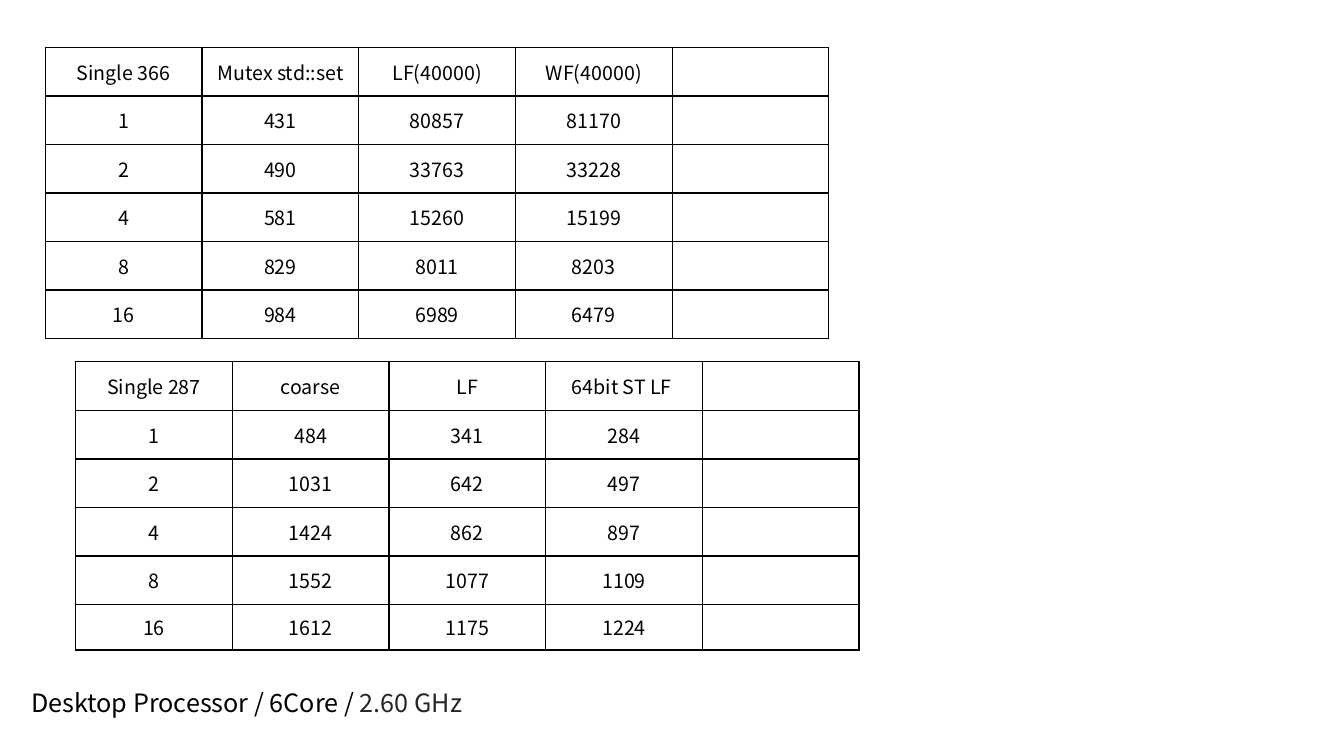
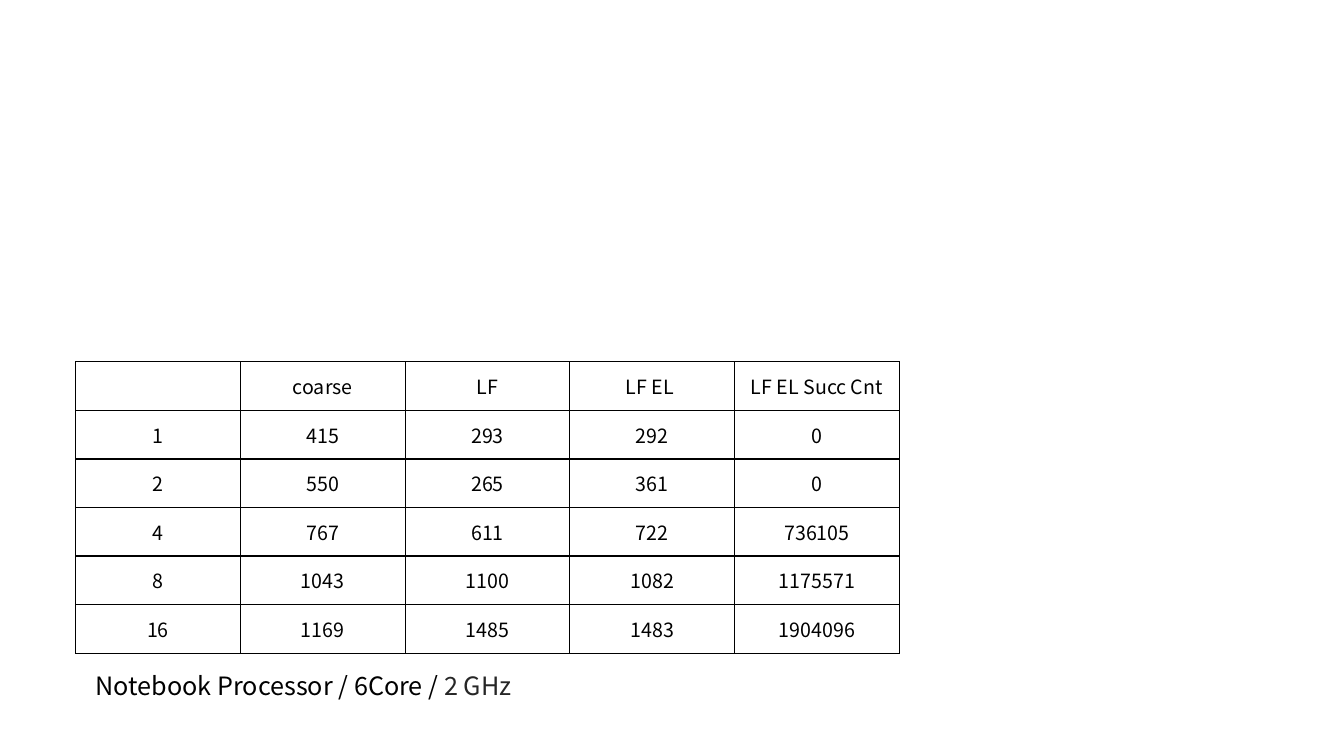
import dataclasses

import lxml.etree
import pptx
import pptx.dml.color
import pptx.enum.text
import pptx.oxml.ns
import pptx.util


@dataclasses.dataclass(frozen=True)
class Theme:
    """Look shared by all slides."""
    font: str = "Noto Sans CJK KR"
    black: str = "000000"
    grey: str = "262626"
    cell_size: int = 14
    caption_size: int = 18
    border_width: int = 1


THEME = Theme()
SLIDE_WIDTH = pptx.util.Inches(13.33)
SLIDE_HEIGHT = pptx.util.Inches(7.5)

# Shares of the slide, in percent
ROW_HEIGHT = 6.42
SHORT_ROW_HEIGHT = 6
LOWER_TABLE = (5.63, 47.87)
CAPTION_SIZE = (46.66, 5.33)

THREADS = ["1", "2", "4", "8", "16"]


def across(percent):
    return round(SLIDE_WIDTH * percent / 100)


def down(percent):
    return round(SLIDE_HEIGHT * percent / 100)


def style_font(font, size, color):
    font.name = THEME.font
    font.size = pptx.util.Pt(size)
    font.color.rgb = pptx.dml.color.RGBColor.from_string(color)


def add_child(parent, tag, **attributes):
    return lxml.etree.SubElement(parent, pptx.oxml.ns.qn(tag), attributes)


def draw_borders(cell):
    properties = cell._tc.get_or_add_tcPr()
    width = str(pptx.util.Pt(THEME.border_width))
    for side in ("a:lnL", "a:lnR", "a:lnT", "a:lnB"):
        line = add_child(properties, side, w=width)
        add_child(add_child(line, "a:solidFill"), "a:srgbClr", val=THEME.black)


def fill_cell(cell, text):
    draw_borders(cell)
    cell.fill.background()
    cell.vertical_anchor = pptx.enum.text.MSO_ANCHOR.MIDDLE
    cell.text_frame.text = text
    paragraph = cell.text_frame.paragraphs[0]
    paragraph.alignment = pptx.enum.text.PP_ALIGN.CENTER
    for run in paragraph.runs:
        style_font(run.font, THEME.cell_size, THEME.black)
    if not text:
        # Keeps an empty cell from stretching its row
        add_child(paragraph._p, "a:endParaRPr", sz=str(THEME.cell_size * 100))


def add_timing_table(slide, position, width, header, columns,
                     last_row_height=ROW_HEIGHT):
    """Draw one row per thread count and one column per measured variant."""
    rows = [header, *zip(THREADS, *columns)]
    heights = [ROW_HEIGHT] * len(THREADS) + [last_row_height]
    left, top = position
    table = slide.shapes.add_table(
        len(rows), len(header), across(left), down(top),
        across(width), down(sum(heights))).table
    table.first_row = False
    table.horz_banding = False
    for column in table.columns:
        column.width = across(width / len(header))
    for row, height, texts in zip(table.rows, heights, rows):
        row.height = down(height)
        for cell, text in zip(row.cells, texts):
            fill_cell(cell, text)


def add_processor_caption(slide, position, processor, clock):
    left, top = position
    width, height = CAPTION_SIZE
    box = slide.shapes.add_textbox(
        across(left), down(top), across(width), down(height))
    box.text_frame.word_wrap = True
    paragraph = box.text_frame.paragraphs[0]
    for text, color in ((f"{processor} / 6Core / ", THEME.black),
                        (clock, THEME.grey)):
        run = paragraph.add_run()
        run.text = text
        style_font(run.font, THEME.caption_size, color)


def add_blank_slide(presentation):
    return presentation.slides.add_slide(presentation.slide_layouts[6])


def build_desktop_slide(presentation):
    slide = add_blank_slide(presentation)
    table_width = 58.29
    unused = [""] * len(THREADS)

    add_processor_caption(slide, (1.58, 90.27), "Desktop Processor", "2.60 GHz")

    # Set timings
    add_timing_table(
        slide, (3.38, 6.27), table_width,
        ["Single 366", "Mutex std::set", "LF(40000)", "WF(40000)", ""],
        [["431", "490", "581", "829", "984"],
         ["80857", "33763", "15260", "8011", "6989"],
         ["81170", "33228", "15199", "8203", "6479"],
         unused])

    # Locking timings
    add_timing_table(
        slide, LOWER_TABLE, table_width,
        ["Single 287", "coarse", "LF", "64bit ST LF ", ""],
        [["484", "1031", "1424", "1552", "1612"],
         ["341", "642", "862", "1077", "1175"],
         ["284", "497", "897", "1109", "1224"],
         unused],
        last_row_height=SHORT_ROW_HEIGHT)


def build_laptop_slide(presentation):
    slide = add_blank_slide(presentation)

    # Elimination timings
    add_timing_table(
        slide, LOWER_TABLE, 61.29,
        ["", "coarse", "LF", "LF EL ", "LF EL Succ Cnt"],
        [["415", "550", "767", "1043", "1169"],
         ["293", "265", "611", "1100", "1485"],
         ["292", "361", "722", "1082", "1483"],
         ["0", "0", "736105", "1175571", "1904096"]])

    add_processor_caption(slide, (6.38, 88), "Notebook Processor", "2 GHz")


def main():
    presentation = pptx.Presentation()
    presentation.slide_width = SLIDE_WIDTH
    presentation.slide_height = SLIDE_HEIGHT
    build_desktop_slide(presentation)
    build_laptop_slide(presentation)
    presentation.save("out.pptx")


if __name__ == "__main__":
    main()
